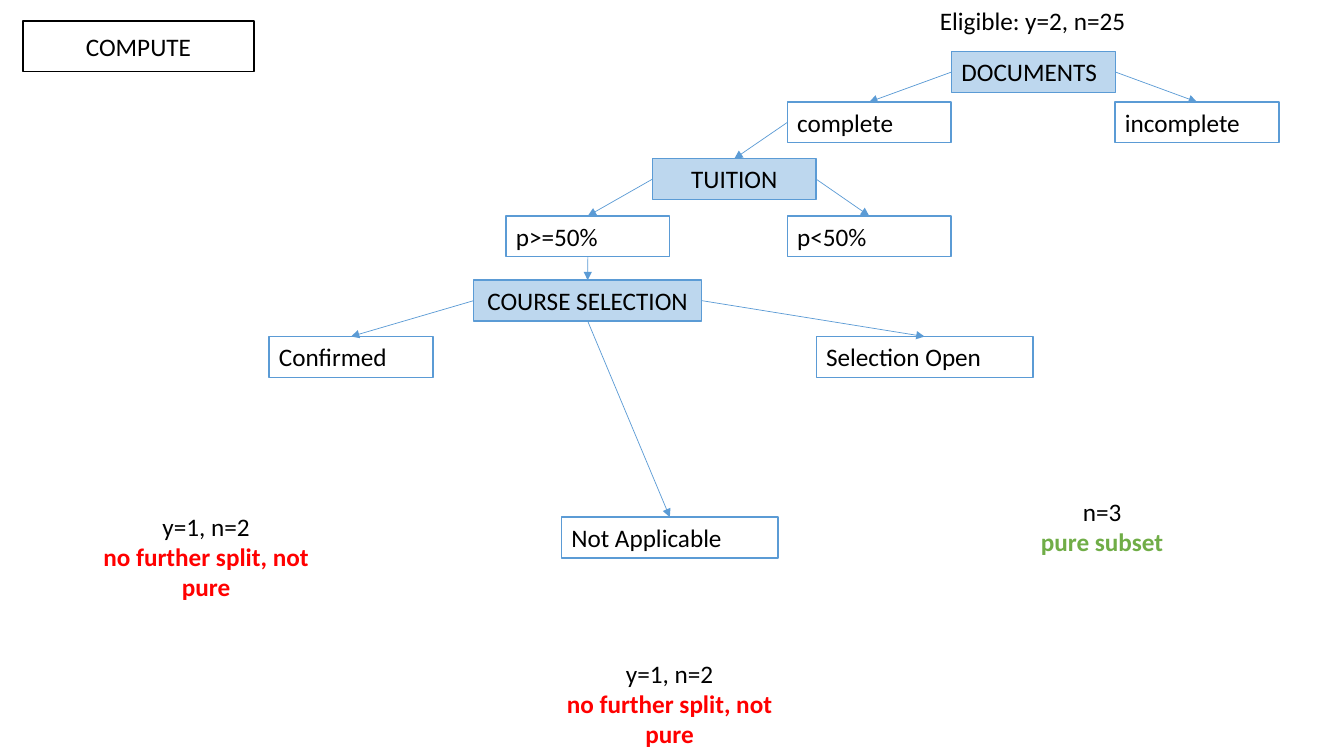
"""Build the slide with the eligibility decision tree."""
from dataclasses import dataclass
from lxml.etree import SubElement
from pptx import Presentation
from pptx.dml.color import RGBColor as RGB
from pptx.enum.shapes import MSO_CONNECTOR as Link, MSO_SHAPE as Kind
from pptx.enum.text import MSO_ANCHOR as Anchor, MSO_AUTO_SIZE as Fit, PP_ALIGN as Align
from pptx.oxml.ns import qn
from pptx.util import Cm, Pt


@dataclass(frozen=True)
class Theme:
    font: str = "Calibri"
    size: float = 18
    edge: float = 1
    thin: float = 0.5
    ink: str = "000000"
    paper: str = "FFFFFF"
    blue: str = "5B9BD5"
    pale: str = "BDD7EE"
    red: str = "FF0000"
    green: str = "70AD47"


T = Theme()
TITLE = ("COMPUTE", 0.58, 0.53, 5.82, 1.27)
HIGH, SLIM, WIDE, BROAD = 1.03, 4.13, 5.46, 5.74
TESTS = [
    ("DOCUMENTS", 23.98, 1.3, SLIM, Align.LEFT),
    ("TUITION", 16.44, 4, SLIM, Align.CENTER),
    ("COURSE SELECTION", 11.94, 7.06, BROAD, Align.CENTER),
]
LEAVES = [
    ("complete", 19.84, 2.57, SLIM),
    ("incomplete", 28.1, 2.57, SLIM),
    ("p>=50%", 12.75, 5.44, SLIM),
    ("p<50%", 19.84, 5.44, SLIM),
    ("Confirmed", 6.78, 8.48, SLIM),
    ("Selection Open", 20.57, 8.48, WIDE),
    ("Not Applicable", 14.15, 13.03, WIDE),
]
SPAN = 5.87
MIXED = ("no further split, not pure", T.red)
NOTES = [
    (23.09, 0, HIGH, [("Eligible: y=2, n=25", T.ink)]),
    (24.84, 12.37, 1.8, [("n=3", T.ink), ("pure subset", T.green)]),
    (13.94, 16.46, 2.57, [("y=1, n=2", T.ink), MIXED]),
    (2.26, 12.75, 2.57, [("y=1, n=2", T.ink), MIXED]),
]
TOP, LEFT, BASE, RIGHT = range(4)
LINKS = [
    ("DOCUMENTS", LEFT, "complete"),
    ("DOCUMENTS", RIGHT, "incomplete"),
    ("complete", LEFT, "TUITION"),
    ("TUITION", LEFT, "p>=50%"),
    ("TUITION", RIGHT, "p<50%"),
    ("p>=50%", BASE, "COURSE SELECTION"),
    ("COURSE SELECTION", LEFT, "Confirmed"),
    ("COURSE SELECTION", BASE, "Not Applicable"),
    ("COURSE SELECTION", RIGHT, "Selection Open"),
]


def write(frame, lines, align):
    """Write each line as a paragraph with one run."""
    for i, (text, color) in enumerate(lines):
        para = frame.add_paragraph() if i else frame.paragraphs[0]
        para.alignment = align
        run = para.add_run()
        run.text = text
        font = run.font
        font.name, font.size = T.font, Pt(T.size)
        font.bold = color != T.ink
        font.color.rgb = RGB.from_string(color)


def paint(shape, fill, edge):
    """Set the fill and the outline of a shape."""
    shape.fill.solid()
    shape.fill.fore_color.rgb = RGB.from_string(fill)
    if edge:
        shape.line.color.rgb = RGB.from_string(edge)
        shape.line.width = Pt(T.edge)
    else:
        shape.line.fill.background()


def box(slide, spot, lines, align, fill, edge):
    """Add a box that fits its text."""
    shape = slide.shapes.add_shape(Kind.RECTANGLE, *map(Cm, spot))
    shape.shadow.inherit = False
    paint(shape, fill, edge)
    frame = shape.text_frame
    frame.word_wrap = True
    frame.auto_size = Fit.SHAPE_TO_FIT_TEXT
    frame.vertical_anchor = Anchor.TOP
    write(frame, lines, align)
    return shape


def arrow(slide, start, side, end):
    """Link a side of one box to the top of the next."""
    line = slide.shapes.add_connector(Link.STRAIGHT, 0, 0, 0, 0)
    line.begin_connect(start, side)
    line.end_connect(end, TOP)
    line.line.color.rgb = RGB.from_string(T.blue)
    line.line.width = Pt(T.thin)
    SubElement(line.line._get_or_add_ln(), qn("a:tailEnd"), type="triangle")
    SubElement(line._element.spPr, qn("a:effectLst"))


def head(slide):
    """Place and format the title."""
    text, *spot = TITLE
    title = slide.shapes.title
    title.left, title.top, title.width, title.height = map(Cm, spot)
    paint(title, T.paper, T.ink)
    frame = title.text_frame
    frame.auto_size = Fit.NONE
    frame.vertical_anchor = Anchor.MIDDLE
    write(frame, [(text, T.ink)], Align.CENTER)


def main():
    """Build and save the deck."""
    deck = Presentation()
    deck.slide_width, deck.slide_height = Cm(33.87), Cm(19.05)
    slide = deck.slides.add_slide(deck.slide_layouts[5])
    head(slide)
    for x, y, high, lines in NOTES:
        box(slide, (x, y, SPAN, high), lines, Align.CENTER, T.paper, None)
    nodes = {}
    for text, x, y, wide, align in TESTS:
        nodes[text] = box(slide, (x, y, wide, HIGH), [(text, T.ink)], align, T.pale, T.blue)
    for text, x, y, wide in LEAVES:
        nodes[text] = box(slide, (x, y, wide, HIGH), [(text, T.ink)], Align.LEFT, T.paper, T.blue)
    for start, side, end in LINKS:
        arrow(slide, nodes[start], side, nodes[end])
    deck.save("out.pptx")


if __name__ == "__main__":
    main()
